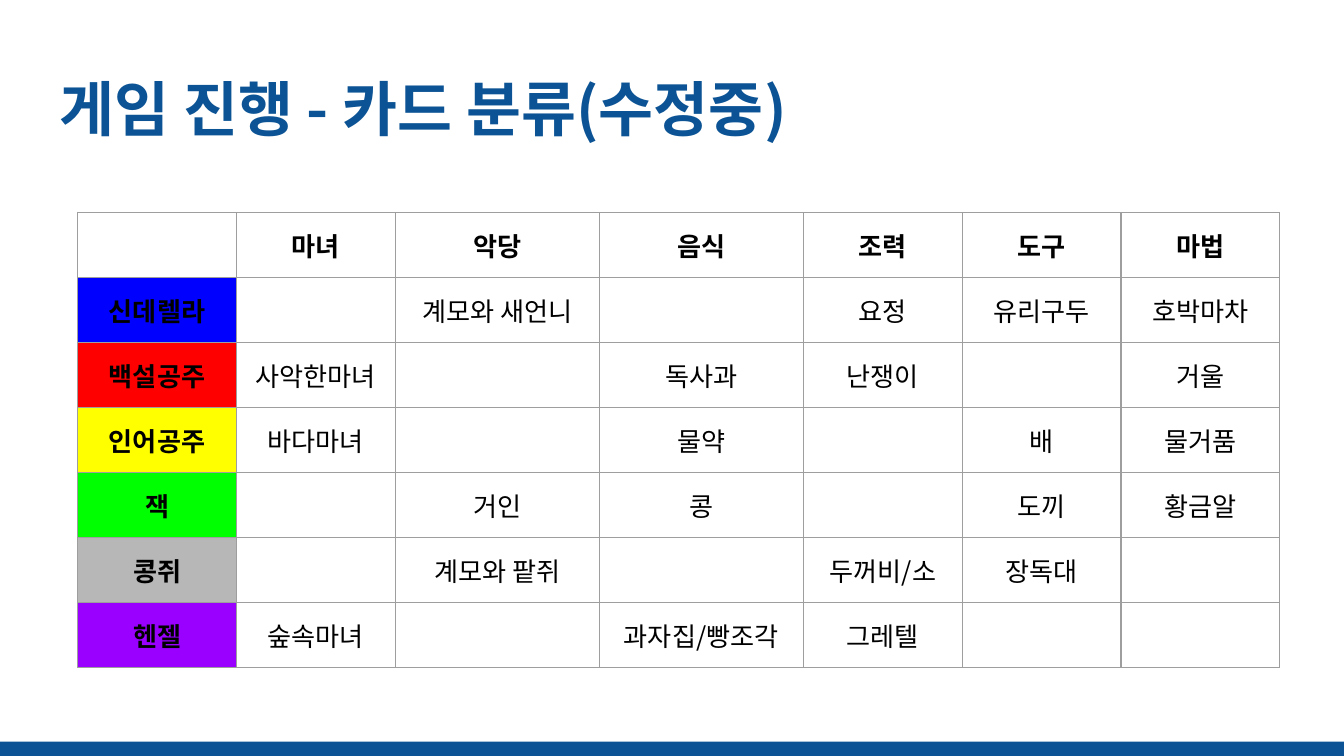
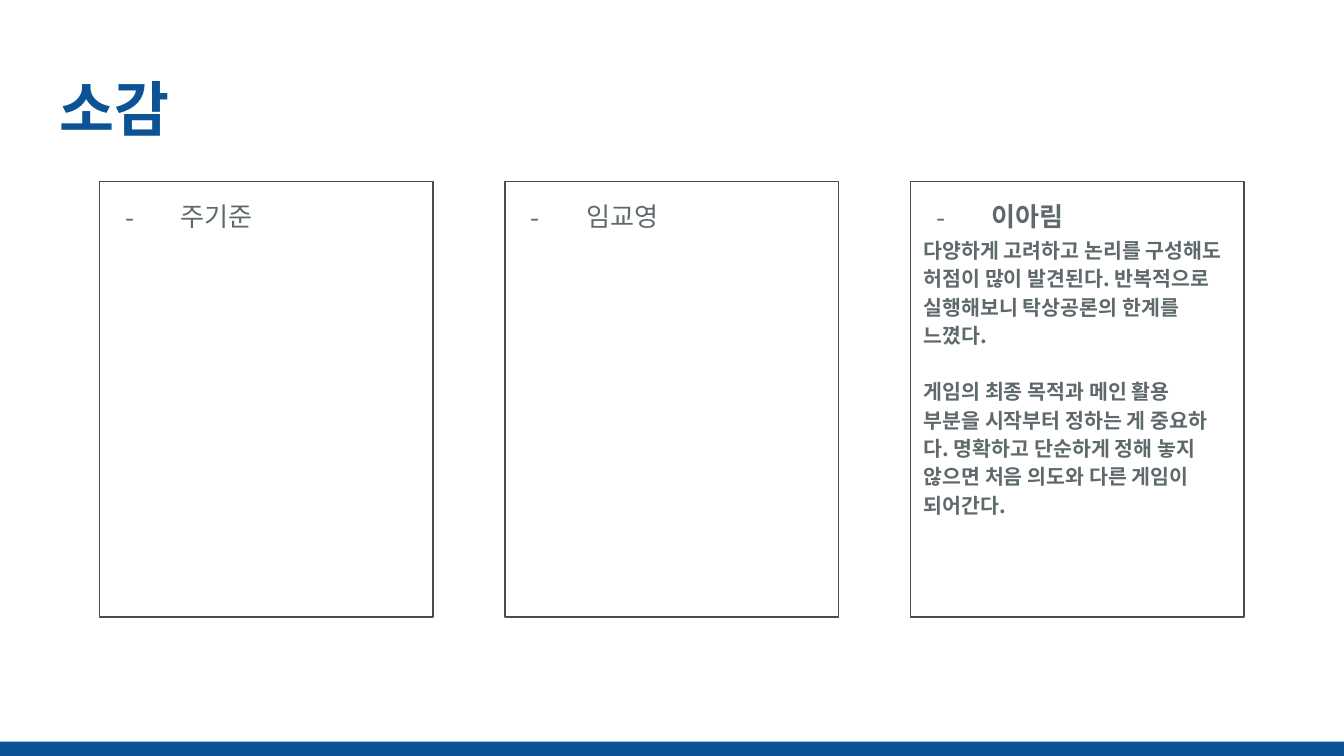
"""Build two slides on a fairy-tale card game: the card table and the reflections."""
import lxml.etree
import pptx
import pptx.dml.color
import pptx.enum.shapes
import pptx.enum.text
import pptx.oxml.ns
import pptx.util

Pt = pptx.util.Pt
qn = pptx.oxml.ns.qn
ALIGN = pptx.enum.text.PP_ALIGN
ANCHOR = pptx.enum.text.MSO_ANCHOR

FONT = "Noto Sans CJK KR"
WIDTH, HEIGHT = 720, 405
COLORS = {
    "blue": "0B5394",
    "black": "000000",
    "grid": "9E9E9E",
    "frame": "464E51",
    "gray": "5E696C",
}
INSETS = dict.fromkeys(
    ("margin_left", "margin_right", "margin_top", "margin_bottom"), Pt(7.2))
FRAME = {"word_wrap": True, "vertical_anchor": ANCHOR.TOP, **INSETS}
PARAGRAPH = {"alignment": ALIGN.LEFT, "line_spacing": 1.15}
STYLES = {
    "title": {"size": Pt(32), "bold": True},
    "head": {"size": Pt(14), "bold": True},
    "cell": {"size": Pt(14), "bold": False},
    "body": {"size": Pt(11), "bold": True},
}

COLUMNS = {"": 85.1, "마녀": 85.1, "악당": 109.3, "음식": 109.3,
           "조력": 85.1, "도구": 85.1, "마법": 85.1}
CARDS = [
    ("0000FF", "신데렐라", "", "계모와 새언니", "", "요정", "유리구두", "호박마차"),
    ("FF0000", "백설공주", "사악한마녀", "", "독사과", "난쟁이", "", "거울"),
    ("FFFF00", "인어공주", "바다마녀", "", "물약", "", "배", "물거품"),
    ("00FF00", "잭", "", "거인", "콩", "", "도끼", "황금알"),
    ("B7B7B7", "콩쥐", "", "계모와 팥쥐", "", "두꺼비/소", "장독대", ""),
    ("9900FF", "헨젤", "숲속마녀", "", "과자집/빵조각", "그레텔", "", ""),
]
REFLECTIONS = [
    ("주기준", "cell", []),
    ("임교영", "cell", []),
    ("이아림", "head", [
        "다양하게 고려하고 논리를 구성해도 허점이 많이 발견된다. "
        "반복적으로 실행해보니 탁상공론의 한계를 느꼈다.",
        "게임의 최종 목적과 메인 활용 부분을 시작부터 정하는 게 중요하다. "
        "명확하고 단순하게 정해 놓지 않으면 처음 의도와 다른 게임이 되어간다.",
    ]),
]


def rgb(value):
    """Turn a hex string into a colour."""
    return pptx.dml.color.RGBColor.from_string(value)


def apply(obj, values):
    """Set each attribute named in a dict."""
    for name, value in values.items():
        setattr(obj, name, value)


def add_element(parent, tag, **attrs):
    """Append an XML element with attributes."""
    return lxml.etree.SubElement(parent, qn(tag), attrs)


def write(p, text, style, color):
    """Add one styled run to a paragraph."""
    r = p.add_run()
    r.text = text
    apply(r.font, {"name": FONT, **STYLES[style]})
    r.font.color.rgb = rgb(COLORS[color])


def add_bullet(p):
    """Give a paragraph a hanging dash."""
    pPr = p._p.get_or_add_pPr()
    pPr.set("marL", str(Pt(36.4)))
    pPr.set("indent", str(Pt(-29.5)))
    clr = add_element(pPr, "a:buClr")
    add_element(clr, "a:srgbClr", val=COLORS["gray"])
    add_element(pPr, "a:buFont", typeface=FONT)
    add_element(pPr, "a:buChar", char="-")


def add_rect(s, box):
    """Add a plain rectangle without shadow."""
    sp = s.shapes.add_shape(
        pptx.enum.shapes.MSO_SHAPE.RECTANGLE, *map(Pt, box))
    sp.shadow.inherit = False
    return sp


def new_slide(prs, title):
    """Add a slide with the shared title and bottom band."""
    s = prs.slides.add_slide(prs.slide_layouts[6])
    band = add_rect(s, (0, HEIGHT - 7.6, WIDTH, 7.6))
    band.fill.solid()
    band.fill.fore_color.rgb = rgb(COLORS["blue"])
    band.line.fill.background()
    tf = s.shapes.add_textbox(Pt(24.9), Pt(31), Pt(671), Pt(49)).text_frame
    apply(tf, FRAME)
    write(tf.paragraphs[0], title, "title", "blue")
    return s


def fill_cell(cell, text, style, fill):
    """Write one table cell with its border and fill."""
    apply(cell, INSETS)
    tcPr = cell._tc.get_or_add_tcPr()
    for side in "LRTB":
        ln = add_element(tcPr, f"a:ln{side}", w=str(Pt(0.75)))
        solid = add_element(ln, "a:solidFill")
        add_element(solid, "a:srgbClr", val=COLORS["grid"])
    if fill:
        cell.fill.solid()
        cell.fill.fore_color.rgb = rgb(fill)
    else:
        cell.fill.background()
    p = cell.text_frame.paragraphs[0]
    p.alignment = ALIGN.CENTER
    if text:
        write(p, text, style, "black")
    else:
        add_element(p._p, "a:endParaRPr", sz="1400")


def add_card_table(s, left, top, row_height):
    """Add the table of cards by story and kind."""
    rows = [(None, *COLUMNS), *CARDS]
    size = (sum(COLUMNS.values()), row_height * len(rows))
    table = s.shapes.add_table(
        len(rows), len(COLUMNS), *map(Pt, (left, top, *size))).table
    apply(table, {"first_row": False, "horz_banding": False})
    for column, width in zip(table.columns, COLUMNS.values()):
        column.width = Pt(width)
    for i, (fill, *texts) in enumerate(rows):
        table.rows[i].height = Pt(row_height)
        for j, text in enumerate(texts):
            style = "head" if i == 0 or j == 0 else "cell"
            fill_cell(table.cell(i, j), text, style, fill if j == 0 else None)


def add_reflection(s, box, name, style, texts):
    """Add a framed panel with a name and its reflections."""
    sp = add_rect(s, box)
    sp.fill.background()
    sp.line.color.rgb = rgb(COLORS["frame"])
    sp.line.width = Pt(0.75)
    tf = sp.text_frame
    apply(tf, FRAME)
    p = tf.paragraphs[0]
    add_bullet(p)
    apply(p, PARAGRAPH)
    write(p, name, style, "gray")
    for i, text in enumerate(texts):
        p = tf.add_paragraph()
        apply(p, {**PARAGRAPH, "space_before": Pt(15.1 if i else 1.6)})
        p._p.get_or_add_pPr().set("hangingPunct", "0")
        write(p, text, "body", "gray")


def add_reflections(s, left, top, width, height, pitch):
    """Place the reflection panels side by side."""
    for i, reflection in enumerate(REFLECTIONS):
        add_reflection(s, (left + i * pitch, top, width, height), *reflection)


def main():
    """Build and save the presentation."""
    prs = pptx.Presentation()
    apply(prs, {"slide_width": Pt(WIDTH), "slide_height": Pt(HEIGHT)})
    s = new_slide(prs, "게임 진행 - 카드 분류(수정중)")
    add_card_table(s, 41.6, 113.8, 34.82)
    s = new_slide(prs, "소감")
    add_reflections(s, 53.3, 97.4, 178.8, 233.2, 217.2)
    prs.save("out.pptx")


if __name__ == "__main__":
    main()
